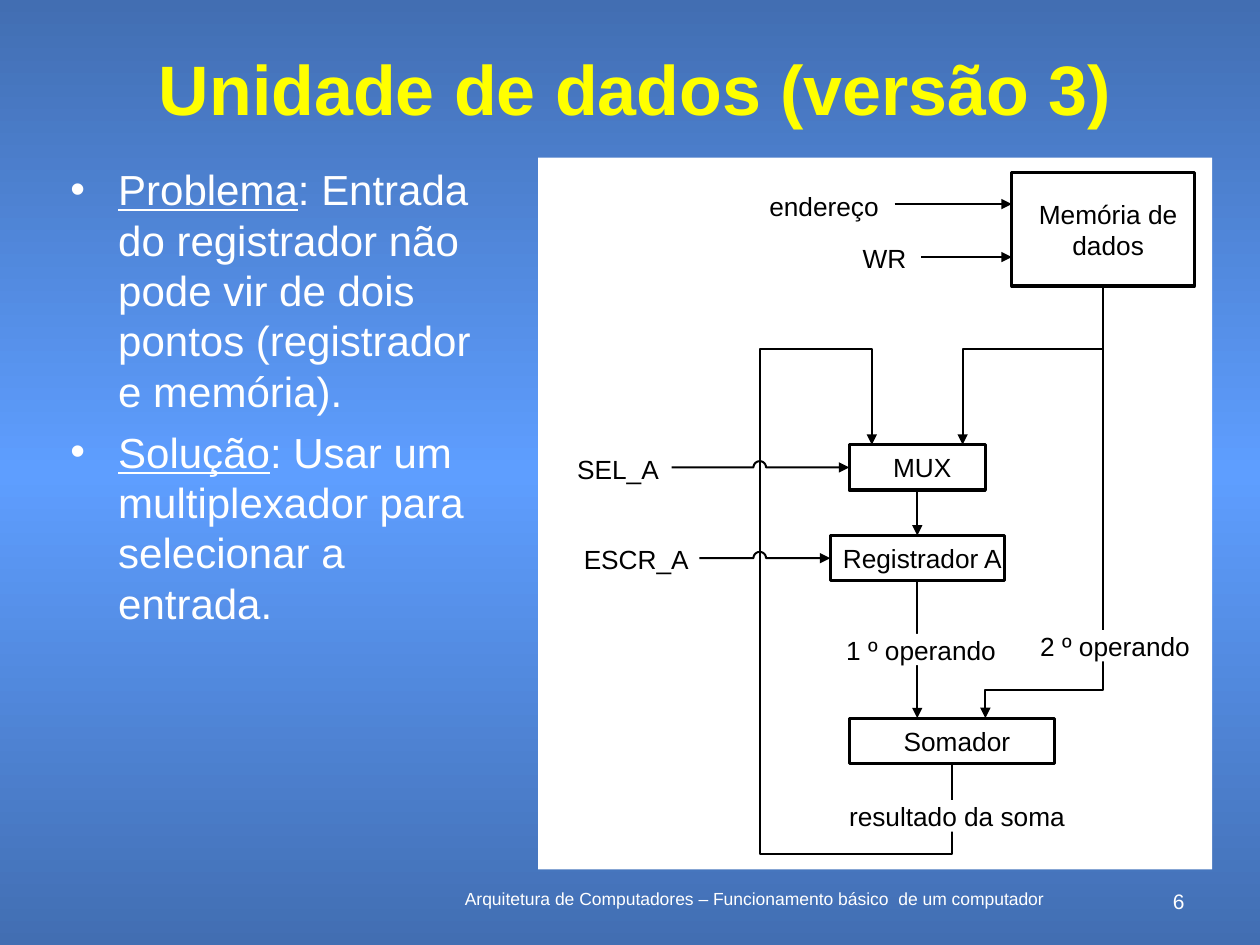
import math
from dataclasses import dataclass

from pptx import Presentation
from pptx.dml.color import RGBColor
from pptx.enum.shapes import MSO_CONNECTOR, MSO_SHAPE
from pptx.enum.text import MSO_ANCHOR, PP_ALIGN
from pptx.oxml import parse_xml
from pptx.oxml.ns import nsdecls, qn
from pptx.util import Inches, Pt

RECT = MSO_SHAPE.RECTANGLE
STRAIGHT = MSO_CONNECTOR.STRAIGHT
TOP, MIDDLE = MSO_ANCHOR.TOP, MSO_ANCHOR.MIDDLE
LEFT, CENTER, RIGHT = PP_ALIGN.LEFT, PP_ALIGN.CENTER, PP_ALIGN.RIGHT

# The slide is a grid of 100 columns by 75 rows of square cells.
CELL = Inches(0.1)
COLS, ROWS = 100, 75


@dataclass(frozen=True)
class Theme:
    font: str = "Arial"
    white: str = "FFFFFF"
    black: str = "000000"
    yellow: str = "FFFF00"
    sky: tuple = ("426EB2", "5E9EFF", "426EB2")
    title: int = 40
    body: int = 24
    label: int = 15
    page: int = 12
    foot: int = 10
    frame: float = 1.87
    wire: float = 1.13


THEME = Theme()


def cells(*counts):
    return [round(n * CELL) for n in counts]


def within(box, x, y):
    return box[0] + x, box[1] + y


def style(para, size, color, align=LEFT, bold=None):
    para.alignment = align
    for run in para.runs:
        run.font.name = THEME.font
        run.font.size = Pt(size)
        run.font.bold = bold
        run.font.color.rgb = RGBColor.from_string(color)


def add_text(slide, box, text, size, color, align, anchor=TOP, bold=None):
    frame = slide.shapes.add_textbox(*cells(*box)).text_frame
    frame.word_wrap = True
    frame.vertical_anchor = anchor
    frame.text = text
    style(frame.paragraphs[0], size, color, align, bold)
    return frame


def add_rect(slide, box, line=None):
    rect = slide.shapes.add_shape(RECT, *cells(*box))
    rect.shadow.inherit = False
    rect.fill.solid()
    rect.fill.fore_color.rgb = RGBColor.from_string(THEME.white)
    if line:
        rect.line.color.rgb = RGBColor.from_string(THEME.black)
        rect.line.width = Pt(line)
    else:
        rect.line.fill.background()
    return rect


def caption(shape, text, inset=0):
    """Centre a diagram text in a shape, with a left inset in cells."""
    frame = shape.text_frame
    frame.margin_left = round(inset * CELL)
    frame.margin_right = frame.margin_top = frame.margin_bottom = 0
    frame.word_wrap = False
    frame.vertical_anchor = MIDDLE
    frame.text = text
    for para in frame.paragraphs:
        style(para, THEME.label, THEME.black, CENTER)


def ink(wire):
    """Draw a wire in black with an arrowhead at its end."""
    wire.line.color.rgb = RGBColor.from_string(THEME.black)
    wire.line.width = Pt(THEME.wire)
    wire.line._get_or_add_ln().append(
        parse_xml(f'<a:tailEnd {nsdecls("a")} type="triangle" w="med" len="med"/>'))


def add_arrow(slide, start, end):
    wire = slide.shapes.add_connector(STRAIGHT, *cells(*start, *end))
    ink(wire)
    wire.element.spPr.append(parse_xml(f'<a:effectLst {nsdecls("a")}/>'))
    return wire


def add_path(slide, points):
    first, *rest = [cells(*point) for point in points]
    pen = slide.shapes.build_freeform(*first)
    pen.add_line_segments(rest, close=False)
    wire = pen.convert_to_shape()
    wire.shadow.inherit = False
    wire.fill.background()
    ink(wire)


def hop(x, y, radius=0.5, steps=12):
    """Points of a half circle that jumps over a crossing wire."""
    turns = [math.pi * i / steps for i in range(steps + 1)]
    return [(x - radius * math.cos(t), y - radius * math.sin(t)) for t in turns]


def add_sky(slide):
    fill = slide.background.fill
    fill.gradient()
    fill.gradient_angle = 90
    stops = slide.element.find(".//" + qn("a:gsLst"))
    for stop in list(stops):
        stops.remove(stop)
    for i, color in enumerate(THEME.sky):
        stops.append(parse_xml(
            f'<a:gs {nsdecls("a")} pos="{i * 50000}"><a:srgbClr val="{color}"/></a:gs>'))


def add_points(slide, box, points):
    frame = slide.shapes.add_textbox(*cells(*box)).text_frame
    frame.word_wrap = True
    for i, (term, rest) in enumerate(points):
        para = frame.add_paragraph() if i else frame.paragraphs[0]
        para.add_run().text = term
        para.add_run().text = rest
        style(para, THEME.body, THEME.white)
        para.runs[0].font.underline = True
        para.space_before = Pt(6)
        props = para._p.get_or_add_pPr()
        indent = Inches(0.38)
        props.set("marL", str(indent))
        props.set("indent", str(-indent))
        for mark in (f'buFont {nsdecls("a")} typeface="{THEME.font}"',
                     f'buChar {nsdecls("a")} char="•"'):
            props.append(parse_xml(f"<a:{mark}/>"))


def add_scheme(slide, box):
    """Draw the data path; all places are cells from the corner of the box."""
    add_rect(slide, box)
    blocks = {}
    for text, x, y, w, h in (
        ("Registrador A", 23.2, 30, 13.8, 3.6),
        ("MUX", 24.7, 22.8, 10.8, 3.6),
        ("Somador", 24.7, 44.5, 16.3, 3.6),
        ("Memória de\ndados", 37.6, 1.2, 14.5, 9),
    ):
        blocks[text] = add_rect(slide, (*within(box, x, y), w, h), THEME.frame)
        caption(blocks[text], text, 0.8)

    def arrow(x1, y1, x2, y2):
        return add_arrow(slide, within(box, x1, y1), within(box, x2, y2))

    for x, y in ((28.3, 3.7), (30.4, 7.9)):
        arrow(x, y, 37.6, y)
    load = arrow(30.1, 26.4, 30.1, 30)
    load.begin_connect(blocks["MUX"], 2)
    load.end_connect(blocks["Registrador A"], 0)
    arrow(30.1, 33.6, 30.1, 44.5).begin_connect(blocks["Registrador A"], 2)

    loop, bus = 17.6, 44.85
    for path in (
        [(32.85, 48.1), (32.85, 55.3), (loop, 55.3), (loop, 15.2), (26.5, 15.2), (26.5, 22.8)],
        [(bus, 10.2), (bus, 15.2), (33.7, 15.2), (33.7, 22.8)],
        [(bus, 10.2), (bus, 42.3), (35.5, 42.3), (35.5, 44.5)],
        [(10.6, 24.6), *hop(loop, 24.6), (24.7, 24.6)],
        [(12.8, 31.8), *hop(loop, 31.8), (23.2, 31.8)],
    ):
        add_path(slide, [within(box, *point) for point in path])

    for text, x, y, w in (
        ("endereço", 17.2, 2.6, 11),
        ("WR", 25, 6.7, 5),
        ("SEL_A", 2.35, 23.5, 8),
        ("ESCR_A", 2.9, 30.6, 9.8),
        ("1 º operando", 24, 37.8, 12.8),
        ("2 º operando", 39.4, 37.5, 12.8),
        ("resultado da soma", 24.2, 51, 18.1),
    ):
        caption(add_rect(slide, (*within(box, x, y), w, 2.5)), text)


def main():
    deck = Presentation()
    deck.slide_width, deck.slide_height = cells(COLS, ROWS)
    slide = deck.slides.add_slide(deck.slide_layouts[6])
    add_sky(slide)
    add_text(slide, (33.2, 70, 53.3, 2.5),
             "Arquitetura de Computadores – Funcionamento básico  de um computador",
             THEME.foot, THEME.white, CENTER)
    add_text(slide, (90.8, 70, 4.2, 1.7), "6", THEME.page, THEME.white, RIGHT)
    title = add_text(slide, (7.5, 4.2, 85.8, 6.7), "Unidade de dados (versão 3)",
                     THEME.title, THEME.yellow, CENTER, MIDDLE, True)
    title.paragraphs[0].line_spacing = 0.8
    add_points(slide, (4.6, 12.5, 35.1, 54.4), (
        ("Problema", ": Entrada do registrador não pode vir de dois pontos (registrador e memória)."),
        ("Solução", ": Usar um multiplexador para selecionar a entrada."),
    ))
    add_scheme(slide, (42.7, 12.5, 53.5, 56.5))
    deck.save("out.pptx")


if __name__ == "__main__":
    main()
